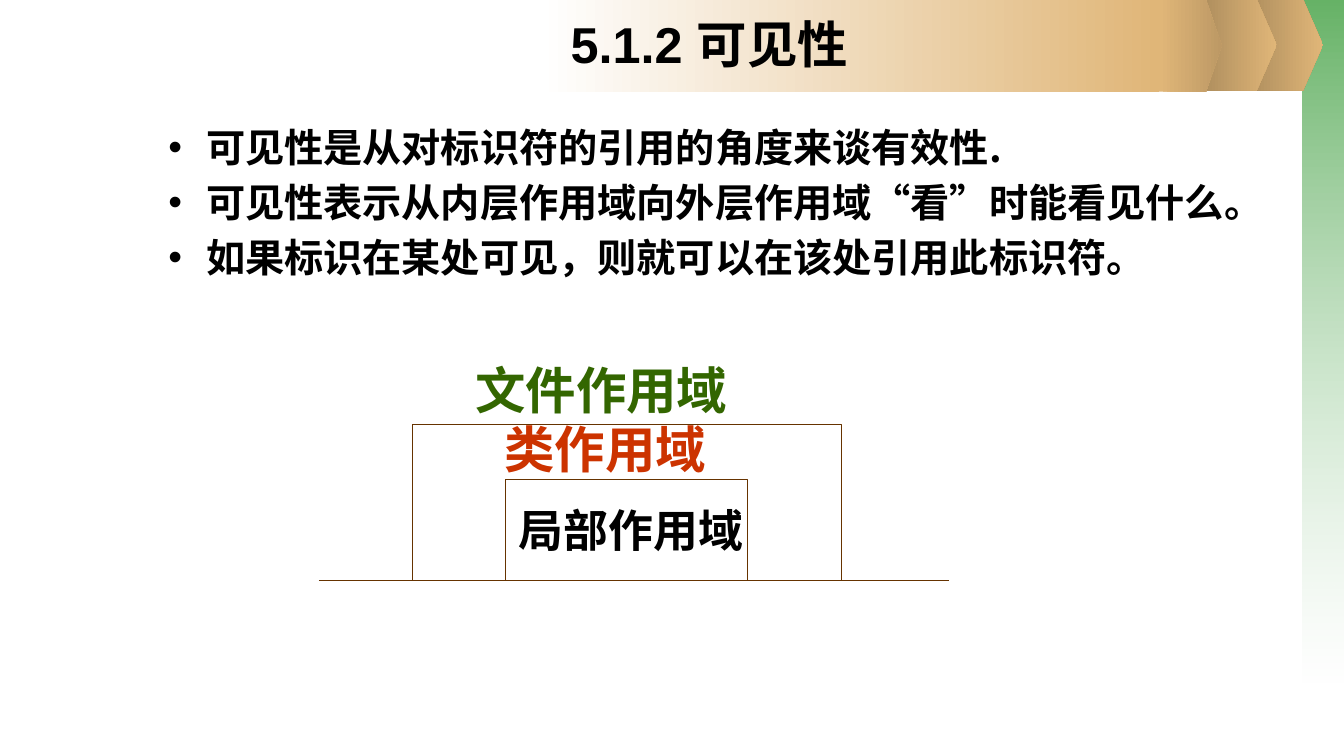
import pptx
import pptx.util
import pptx.dml.color
import pptx.enum.shapes
import pptx.enum.text
import pptx.oxml.ns
import lxml.etree

COLUMNS, ROWS = 32, 18
HAN = "Noto Sans CJK SC"
BLACK, BROWN, GOLD = "000000", "663300", "E0B678"
SHAPES = pptx.enum.shapes.MSO_SHAPE
ALIGN = pptx.enum.text.PP_ALIGN
ANCHOR = pptx.enum.text.MSO_ANCHOR


def colour(code):
    return pptx.dml.color.RGBColor.from_string(code)


def assign(target, values):
    for name, value in values.items():
        setattr(target, name, value)


def child(parent, tag, **attributes):
    return lxml.etree.SubElement(parent, pptx.oxml.ns.qn(tag), attributes)


class Painter:
    def __init__(self, deck):
        self.slide = deck.slides.add_slide(deck.slide_layouts[6])
        self.cell_width = deck.slide_width / COLUMNS
        self.cell_height = deck.slide_height / ROWS

    def point(self, column, row):
        return round(column * self.cell_width), round(row * self.cell_height)

    def area(self, column, row, width, height):
        return *self.point(column, row), *self.point(width, height)

    def band(self, kind, area, colours, angle=0, opacity=()):
        band = self.slide.shapes.add_shape(kind, *self.area(*area))
        band.shadow.inherit = False
        band.line.fill.background()
        band.fill.gradient()
        band.fill.gradient_angle = angle
        for stop, code in zip(band.fill.gradient_stops, colours):
            stop.color.rgb = colour(code)
        tones = band.fill._xPr.iter(pptx.oxml.ns.qn("a:srgbClr"))
        for tone, percent in zip(tones, opacity):
            child(tone, "a:alpha", val=str(percent * 1000))
        if kind == SHAPES.PENTAGON:
            band.adjustments[0] = 0.25

    def outline(self, line):
        line.color.rgb = colour(BROWN)
        line.width = pptx.util.Pt(0.75)

    def ground(self, left, right, row):
        ground = self.slide.shapes.add_connector(
            pptx.enum.shapes.MSO_CONNECTOR.STRAIGHT,
            *self.point(left, row), *self.point(right, row))
        self.outline(ground.line)
        child(ground._element.spPr, "a:effectLst")

    def frame(self, left, right, top, bottom):
        builder = self.slide.shapes.build_freeform(*self.point(left, bottom))
        corners = [(left, top), (right, top), (right, bottom)]
        builder.add_line_segments([self.point(*corner) for corner in corners], close=False)
        frame = builder.convert_to_shape()
        frame.shadow.inherit = False
        frame.fill.background()
        self.outline(frame.line)

    def text(self, area, lines, size, code=BLACK, font="Arial", anchor=ANCHOR.TOP,
             indent=0, bullet=None, **layout):
        box = self.slide.shapes.add_textbox(*self.area(*area))
        assign(box.text_frame, {"word_wrap": True, "vertical_anchor": anchor})
        box.text_frame.text = "\n".join(lines)
        for para in box.text_frame.paragraphs:
            assign(para, layout)
            margin = round(indent * self.cell_width)
            properties = para._p.get_or_add_pPr()
            properties.set("marL", str(margin))
            if bullet:
                properties.set("indent", str(-margin))
                child(properties, "a:buFont", typeface="Arial")
                child(properties, "a:buChar", char=bullet)
            for span in para.runs:
                assign(span.font, {"size": pptx.util.Pt(size), "bold": True, "name": font})
                span.font.color.rgb = colour(code)
                child(span._r.get_or_add_rPr(), "a:ea", typeface=HAN)


deck = pptx.Presentation()
assign(deck, {"slide_width": pptx.util.Inches(13.33), "slide_height": pptx.util.Inches(7.5)})
painter = Painter(deck)

painter.band(SHAPES.RECTANGLE, (31.01, 0, 0.99, 16.25), ("339933", "FFFFFF"), 270, (75, 37))
for column in (29.6, 28.5):
    painter.band(SHAPES.PENTAGON, (column, -0.02, 1.9, 2.18), ("AB8B5C", GOLD))
painter.band(SHAPES.RECTANGLE, (12.86, 0, 14.74, 2.18), ("FFFFFF", GOLD))
painter.band(SHAPES.PENTAGON, (27.6, 0, 1.49, 2.18), (GOLD, "BD9965"))

painter.text((7.49, 0.19, 18.8, 2.6), ["5.1.2 可见性"], 36, alignment=ALIGN.CENTER)
painter.text((3.77, 2.82, 26.64, 9), [
    "可见性是从对标识符的引用的角度来谈有效性.",
    "可见性表示从内层作用域向外层作用域“看”时能看见什么。",
    "如果标识在某处可见，则就可以在该处引用此标识符。",
], 28, font=HAN, indent=0.9, bullet="•", space_before=pptx.util.Pt(5.6))

GROUND = 13.83
painter.ground(7.59, 22.59, GROUND)
for left, right, top in ((9.82, 20.04, 10.1), (12.04, 17.8, 11.42)):
    painter.frame(left, right, top, GROUND)

for name, area, indent, size, code in (
    ("局部作用域", (11.57, 11.84, 6.7, 1.54), 0.55, 32, BLACK),
    ("类作用域", (11.09, 9.82, 8.3, 1.7), 0.68, 36, "CC3300"),
    ("文件作用域", (9.38, 8.42, 11.26, 1.7), 1.7, 36, "336600"),
):
    painter.text(area, [name], size, code, anchor=ANCHOR.MIDDLE, indent=indent)

deck.save("out.pptx")
